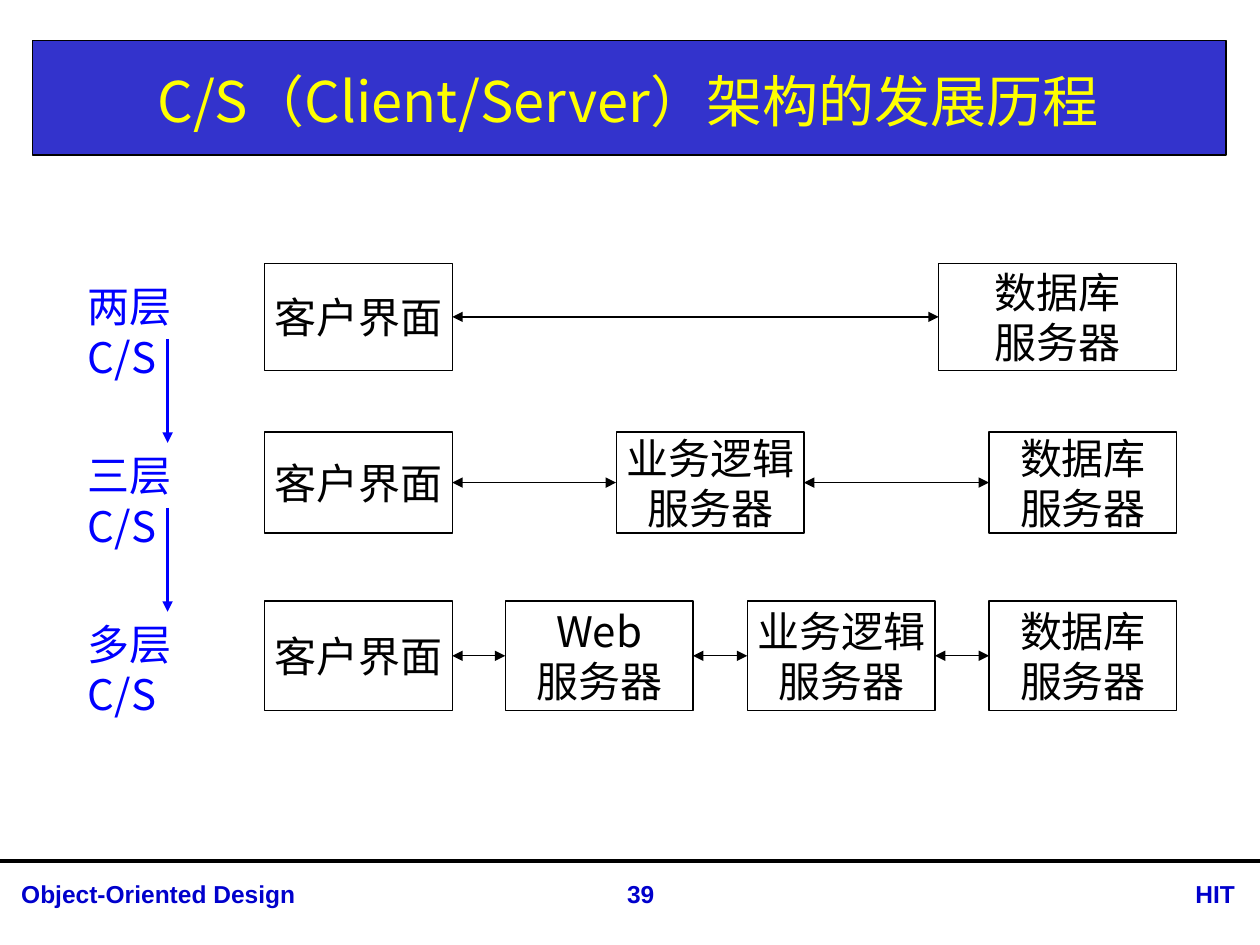
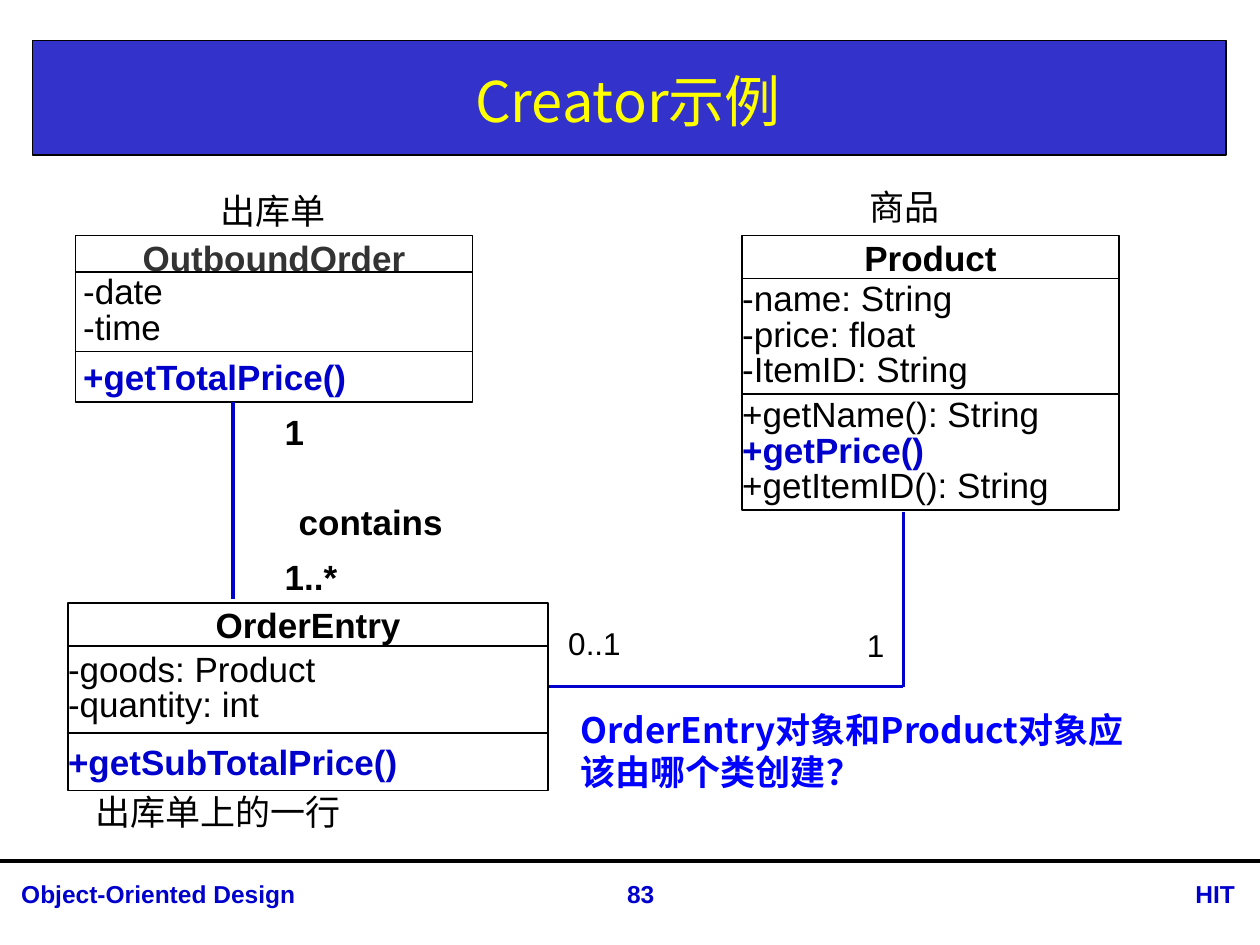
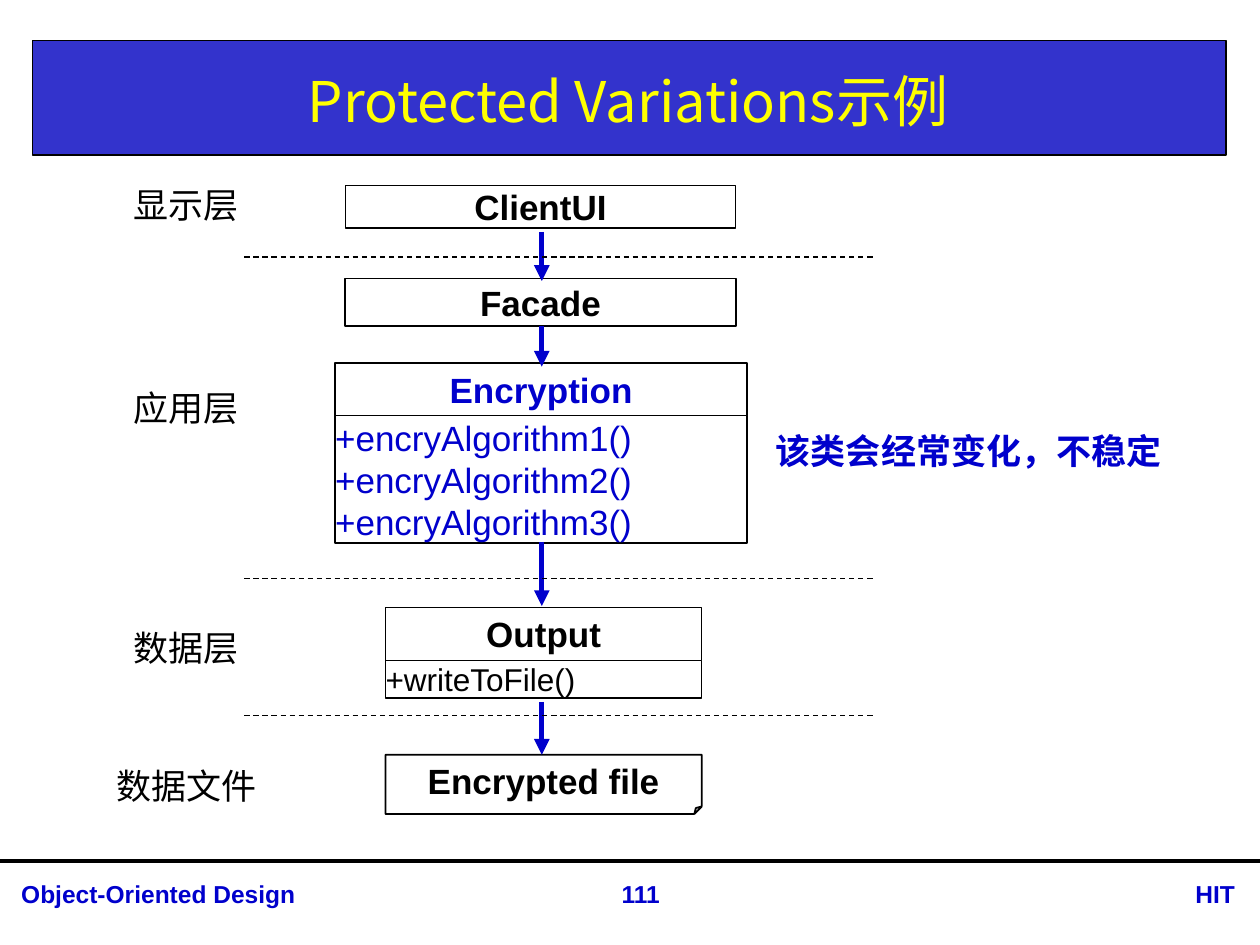
from lxml import etree
from pptx import Presentation
from pptx.dml.color import RGBColor
from pptx.enum.dml import MSO_LINE
from pptx.enum.shapes import MSO_CONNECTOR, MSO_SHAPE
from pptx.enum.text import MSO_ANCHOR, PP_ALIGN
from pptx.oxml.ns import qn
from pptx.util import Inches, Pt

LEFT, CENTER, RIGHT, JUSTIFY = PP_ALIGN.LEFT, PP_ALIGN.CENTER, PP_ALIGN.RIGHT, PP_ALIGN.JUSTIFY
TOP, MIDDLE = MSO_ANCHOR.TOP, MSO_ANCHOR.MIDDLE
RECTANGLE, FOLDED_CORNER = MSO_SHAPE.RECTANGLE, MSO_SHAPE.FOLDED_CORNER
STRAIGHT, DASH = MSO_CONNECTOR.STRAIGHT, MSO_LINE.DASH

COLUMNS, ROWS = 100, 75
LATIN, CHINESE = "Arial", "Noto Sans CJK SC"
BLACK, WHITE, GRAY = "000000", "FFFFFF", "333333"
BAND, NAVY, BLUE, YELLOW = "3333CC", "0000CC", "0000FF", "FFFF00"


def color(value):
    return RGBColor.from_string(value)


def write(frame, text, size=20, font=LATIN, ink=BLACK, bold=False, align=LEFT,
          anchor=TOP, wrap=True, spacing=None, emphasis=()):
    frame.word_wrap = wrap
    frame.vertical_anchor = anchor
    for index, line in enumerate(text.split("\n")):
        paragraph = frame.paragraphs[0] if index == 0 else frame.add_paragraph()
        paragraph.alignment = align
        if spacing:
            paragraph.line_spacing = spacing
        run = paragraph.add_run()
        run.text = line
        run.font.size = Pt(size)
        run.font.bold = bold or line in emphasis
        run.font.color.rgb = color(NAVY if line in emphasis else ink)
        run.font.name = font
        east_asian = etree.SubElement(run.font._element, qn("a:ea"))
        east_asian.set("typeface", font)


class Deck:
    def __init__(self):
        self.presentation = Presentation()
        self.presentation.slide_width = Inches(10)
        self.presentation.slide_height = Inches(7.5)
        self.slide = None

    def across(self, columns):
        return int(self.presentation.slide_width * columns / COLUMNS)

    def down(self, rows):
        return int(self.presentation.slide_height * rows / ROWS)

    def area(self, left, top, width, height):
        return self.across(left), self.down(top), self.across(width), self.down(height)

    def inset(self, frame, left, top, right, bottom):
        frame.margin_left, frame.margin_right = self.across(left), self.across(right)
        frame.margin_top, frame.margin_bottom = self.down(top), self.down(bottom)

    def start(self, title, number):
        self.slide = self.presentation.slides.add_slide(self.presentation.slide_layouts[6])
        self.box(2.6, 3.2, 94.7, 9.1, fill=BAND)
        self.line(0, 68.3, 100, 68.3, weight=2.25)
        footers = [(0.7, 46.3, "Object-Oriented Design", LEFT),
                   (88.7, 10.3, "HIT", RIGHT),
                   (45.7, 10.3, number, CENTER)]
        for left, width, text, align in footers:
            self.label(left, 69.3, width, 3.4, text, size=14, font=LATIN,
                       ink=NAVY, bold=True, align=align)
        self.label(2.6, 3.6, 94.5, 8.7, title, size=32, ink=YELLOW,
                   align=CENTER, anchor=MIDDLE)

    def box(self, left, top, width, height, text="", fill=WHITE, weight=0.75,
            inset=(1, 0.5), outline=RECTANGLE, fold=None, **style):
        shape = self.slide.shapes.add_shape(outline, *self.area(left, top, width, height))
        shape.shadow.inherit = False
        shape.fill.solid()
        shape.fill.fore_color.rgb = color(fill)
        if weight:
            shape.line.color.rgb = color(BLACK)
            shape.line.width = Pt(weight)
        else:
            shape.line.fill.background()
        if fold:
            geometry = shape._element.spPr.find(qn("a:prstGeom"))
            guide = etree.SubElement(geometry.find(qn("a:avLst")), qn("a:gd"))
            guide.set("name", "adj")
            guide.set("fmla", f"val {int(fold * 100000)}")
        if text:
            self.inset(shape.text_frame, *inset, *inset)
            write(shape.text_frame, text, **style)

    def label(self, left, top, width, height, text, inset=(1, 0.5, 1, 0.5),
              font=CHINESE, **style):
        shape = self.slide.shapes.add_textbox(*self.area(left, top, width, height))
        self.inset(shape.text_frame, *inset)
        write(shape.text_frame, text, font=font, **style)

    def line(self, left, top, right, bottom, ink=BLACK, weight=0.75, dash=None, ends=()):
        connector = self.slide.shapes.add_connector(
            STRAIGHT, self.across(left), self.down(top), self.across(right), self.down(bottom))
        connector.line.color.rgb = color(ink)
        connector.line.width = Pt(weight)
        if dash:
            connector.line.dash_style = dash
        properties = connector._element.spPr
        for end in ends:
            etree.SubElement(properties.find(qn("a:ln")), qn(f"a:{end}")).set("type", "triangle")
        etree.SubElement(properties, qn("a:effectLst"))

    def class_box(self, left, top, width, name, members, weight=1, overlap=0,
                  height=3.4, inset=(0, 0), ink=BLACK):
        self.box(left, top, width, height, name, weight=weight, inset=inset,
                 bold=True, ink=ink, align=CENTER, anchor=MIDDLE)
        top += height - overlap
        for member_height, text, style in members:
            self.box(left, top, width, member_height, text, weight=weight,
                     anchor=MIDDLE, **style)
            top += member_height


def history_slide(deck):
    deck.start("C/S（Client/Server）架构的发展历程", "39")
    client, database = "客户界面", "数据库\n服务器"
    logic, web = "业务逻辑\n服务器", "Web\n服务器"
    tiers = [
        ("两层C/S", 20.9, 8.5, [(21, 14.9, client), (74.5, 18.9, database)]),
        ("三层C/S", 34.3, 8, [(21, 14.9, client), (48.9, 14.9, logic), (78.5, 14.9, database)]),
        ("多层C/S", 47.7, 8.7, [(21, 14.9, client), (40.1, 14.9, web),
                              (59.3, 14.9, logic), (78.5, 14.9, database)]),
    ]
    for name, top, height, parts in tiers:
        for left, width, text in parts:
            deck.box(left, top, width, height, text, size=24, font=CHINESE,
                     align=CENTER, anchor=MIDDLE, wrap=False)
        middle = top + height / 2
        for (left, width, _), (following, _, _) in zip(parts, parts[1:]):
            deck.line(left + width, middle, following, middle, ends=("headEnd", "tailEnd"))
        deck.label(6, top + 0.9, 14.6, 5, name, inset=(1, 0.5, 6, 0.5), size=24, ink=BLUE)
    for top in (26.9, 40.3):
        deck.line(13.3, top, 13.3, top + 8.25, ink=BLUE, weight=1.5, ends=("tailEnd",))


def creator_slide(deck):
    deck.start("Creator示例", "83")
    tight, narrow, padded = (0, 0.3), (0.6, 0.3), (0, 0.6)
    method = {"ink": NAVY, "bold": True}
    deck.class_box(58.9, 18.7, 29.9, "Product", [
        (9.2, "-name: String\n-price: float\n-ItemID: String",
         {"inset": tight, "spacing": 0.85}),
        (9.2, "+getName(): String\n+getPrice()\n+getItemID(): String",
         {"inset": tight, "spacing": 0.85, "emphasis": ("+getPrice()",)}),
    ])
    deck.class_box(6, 18.7, 31.5, "OutboundOrder", [
        (6.3, "-date\n-time", {"inset": narrow, "spacing": 0.85}),
        (4, "+getTotalPrice()", {"inset": narrow, **method}),
    ], overlap=0.5, ink=GRAY)
    marks = [(22.6, 44.1, 10.1, 5.1, "1..*", 20), (22.6, 32.6, 2.8, 3.4, "1", 20),
             (23.7, 39.7, 16.2, 4.3, "contains", 20),
             (68.8, 49.7, 2.9, 3.9, "1", 18), (45.1, 49.5, 9.5, 4, "0..1", 18)]
    for left, top, width, height, text, size in marks:
        deck.box(left, top, width, height, text, weight=0, inset=(0, 0),
                 size=size, bold=size == 20)
    for ends in [(18.5, 31.9, 18.5, 47.5), (41.8, 54.5, 71.7, 54.5), (71.7, 40.6, 71.7, 54.5)]:
        deck.line(*ends, ink=NAVY, weight=2)
    deck.class_box(5.4, 47.85, 38.1, "OrderEntry", [
        (6.9, "-goods: Product\n-quantity: int", {"inset": padded, "spacing": 0.85}),
        (4.6, "+getSubTotalPrice()", {"inset": padded, **method}),
    ])
    captions = [(16.5, 14.5, 12.1, "出库单"), (6.6, 62.2, 21.7, "出库单上的一行"),
                (68, 14.2, 7.6, "商品")]
    for left, top, width, text in captions:
        deck.label(left, top, width, 4.4, text, anchor=MIDDLE, wrap=False)
    deck.label(45.1, 55.7, 45.2, 7.7, "OrderEntry对象和Product对象应该由哪个类创建？",
               ink=BLUE, bold=True)


def variations_slide(deck):
    deck.start("Protected Variations示例", "111")
    deck.class_box(27.4, 14.7, 31, "ClientUI", [], weight=0.75)
    deck.class_box(27.4, 22.1, 31, "Facade", [], height=3.8, inset=(0, 0.2))
    deck.class_box(26.6, 28.8, 32.7, "Encryption", [
        (10.1, "+encryAlgorithm1()\n+encryAlgorithm2()\n+encryAlgorithm3()",
         {"inset": (0, 0), "ink": NAVY, "align": JUSTIFY}),
    ], weight=0.75, height=4.2, inset=(0, 0.4), ink=NAVY)
    deck.class_box(30.6, 48.2, 25.1, "Output", [
        (3, "+writeToFile()", {"inset": (0, 0), "size": 18, "align": JUSTIFY}),
    ], weight=0.75, height=4.2, inset=(0, 0.4))
    deck.box(30.6, 59.9, 25.1, 4.7, "Encrypted file", weight=1, inset=(1, 0.4),
             outline=FOLDED_CORNER, fold=0.125, bold=True, align=CENTER)
    for top, bottom in [(18.4, 22.3), (25.9, 29.1), (43, 48.1), (55.7, 59.9)]:
        deck.line(43, top, 43, bottom, ink=NAVY, weight=3, ends=("tailEnd",))
    for top in (20.4, 45.9, 56.8):
        deck.line(19.4, top, 69.4, top, dash=DASH)
    deck.label(60.6, 33.6, 34.3, 4.4, "该类会经常变化，不稳定", ink=NAVY, bold=True)
    for top, text in [(14.5, "显示层"), (30.6, "应用层"), (49.6, "数据层"), (60.6, "数据文件")]:
        deck.box(7.7, top, 14.2, 3.6, text, weight=0, inset=(0, 0.1),
                 font=CHINESE, align=CENTER)


def main():
    deck = Deck()
    history_slide(deck)
    creator_slide(deck)
    variations_slide(deck)
    deck.presentation.save("out.pptx")


if __name__ == "__main__":
    main()
